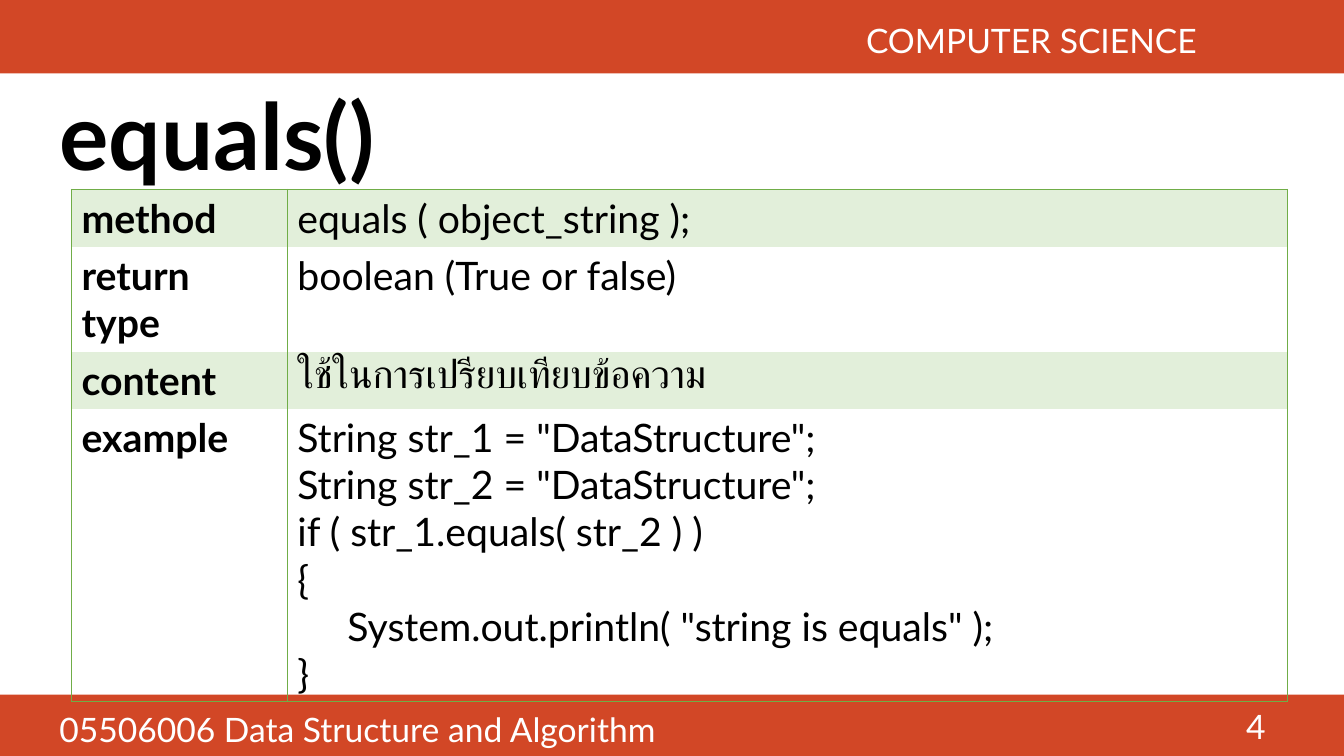
import dataclasses

import lxml.etree
import pptx
import pptx.dml.color
import pptx.enum.shapes
import pptx.enum.text
import pptx.oxml.ns
import pptx.util

Inches = pptx.util.Inches
Align = pptx.enum.text.PP_ALIGN
Anchor = pptx.enum.text.MSO_ANCHOR


@dataclasses.dataclass(frozen=True)
class Theme:
    """Colours, font and type sizes of the deck."""
    font: str = "Lato"
    red: str = "D24726"
    green: str = "70AD47"
    band: str = "E2EFDA"
    black: str = "000000"
    white: str = "FFFFFF"
    title: int = 66
    body: int = 28
    label: int = 24


THEME = Theme()
NO_GRID_STYLE = "{2D5ABB26-0587-4C30-8999-92F81FD0307C}"
COLUMN_WIDTHS = (2.14, 9.92)
ROWS = (
    ("method", "equals ( object_string );", 0.57),
    ("return type", "boolean (True or false)", 1.04),
    ("content", "ใช้ในการเปรียบเทียบข้อความ", 0.57),
    ("example", """String str_1 = "DataStructure";
String str_2 = "DataStructure";
if ( str_1.equals( str_2 ) )
{
     System.out.println( "string is equals" );
}""", 2.9),
)


def rgb(colour):
    """Turn a hex string into a colour."""
    return pptx.dml.color.RGBColor.from_string(colour)


def write(frame, text, size, colour, bold=False, align=Align.LEFT):
    """Fill a text frame, one paragraph for each line."""
    frame.word_wrap = True
    frame.text = text
    for para in frame.paragraphs:
        para.alignment = align
        para.font.name = THEME.font
        para.font.size = pptx.util.Pt(size)
        para.font.bold = bold
        para.font.color.rgb = rgb(colour)


def add_title(page, text, left, top, width, height):
    """Place the title placeholder in the given box."""
    title = page.shapes.title
    title.left, title.top = Inches(left), Inches(top)
    title.width, title.height = Inches(width), Inches(height)
    write(title.text_frame, text, THEME.title, THEME.black, bold=True)
    title.text_frame.auto_size = pptx.enum.text.MSO_AUTO_SIZE.NONE
    title.text_frame.vertical_anchor = Anchor.MIDDLE
    title.text_frame.paragraphs[0].line_spacing = 0.9


def add_band(page, top, height):
    """Draw a red band across the full page width."""
    band = page.shapes.add_shape(
        pptx.enum.shapes.MSO_SHAPE.RECTANGLE,
        0, Inches(top), Inches(13.33), Inches(height))
    band.shadow.inherit = False
    band.fill.solid()
    band.fill.fore_color.rgb = rgb(THEME.red)
    band.line.fill.background()


def add_label(page, text, left, top, width, height, align=Align.LEFT):
    """Write a white label on a band."""
    box = page.shapes.add_textbox(
        Inches(left), Inches(top), Inches(width), Inches(height))
    write(box.text_frame, text, THEME.label, THEME.white, align=align)


def add_header(page, top, height):
    """Draw the top band with the department name."""
    add_band(page, top, height)
    add_label(page, "COMPUTER SCIENCE", 6, top + 0.15, 5.97, 0.54, Align.RIGHT)


def add_footer(page, top, height):
    """Draw the bottom band with course name and page number."""
    add_band(page, top, height)
    add_label(page, "05506006 Data Structure and Algorithm",
              0.49, top + 0.09, 9, 0.5)
    add_label(page, "4", 9.65, top + 0.06, 3, 0.5, Align.RIGHT)


def set_borders(cell, sides):
    """Draw green borders on the given sides of a cell."""
    properties = cell._tc.get_or_add_tcPr()
    for position, side in enumerate(sides):
        line = lxml.etree.Element(pptx.oxml.ns.qn(f"a:ln{side}"), w="12700")
        fill = lxml.etree.SubElement(line, pptx.oxml.ns.qn("a:solidFill"))
        lxml.etree.SubElement(
            fill, pptx.oxml.ns.qn("a:srgbClr"), val=THEME.green)
        properties.insert(position, line)


def add_method_table(page, left, top):
    """Describe the method in a banded two-column table."""
    heights = [height for *_, height in ROWS]
    table = page.shapes.add_table(
        len(ROWS), len(COLUMN_WIDTHS), Inches(left), Inches(top),
        Inches(sum(COLUMN_WIDTHS)), Inches(sum(heights))).table
    table.first_row = table.horz_banding = False
    style = table._tbl.tblPr.find(pptx.oxml.ns.qn("a:tableStyleId"))
    style.text = NO_GRID_STYLE
    for column, width in zip(table.columns, COLUMN_WIDTHS):
        column.width = Inches(width)
    for number, (name, detail, height) in enumerate(ROWS):
        table.rows[number].height = Inches(height)
        sides = ["L", "R"]
        if number == 0:
            sides.append("T")
        if number == len(ROWS) - 1:
            sides.append("B")
        for column, text in enumerate((name, detail)):
            cell = table.cell(number, column)
            write(cell.text_frame, text, THEME.body, THEME.black,
                  bold=column == 0)
            if number % 2 == 0:
                cell.fill.solid()
                cell.fill.fore_color.rgb = rgb(THEME.band)
            else:
                cell.fill.background()
            set_borders(cell, sides)


def main():
    """Build the deck and save it."""
    deck = pptx.Presentation()
    deck.slide_width, deck.slide_height = Inches(13.33), Inches(7.5)
    page = deck.slides.add_slide(deck.slide_layouts[5])
    add_title(page, "equals()", 0.49, 0.76, 12.28, 1.27)
    add_footer(page, 6.89, 0.61)
    add_header(page, 0, 0.73)
    add_method_table(page, 0.71, 1.88)
    deck.save("out.pptx")


if __name__ == "__main__":
    main()
